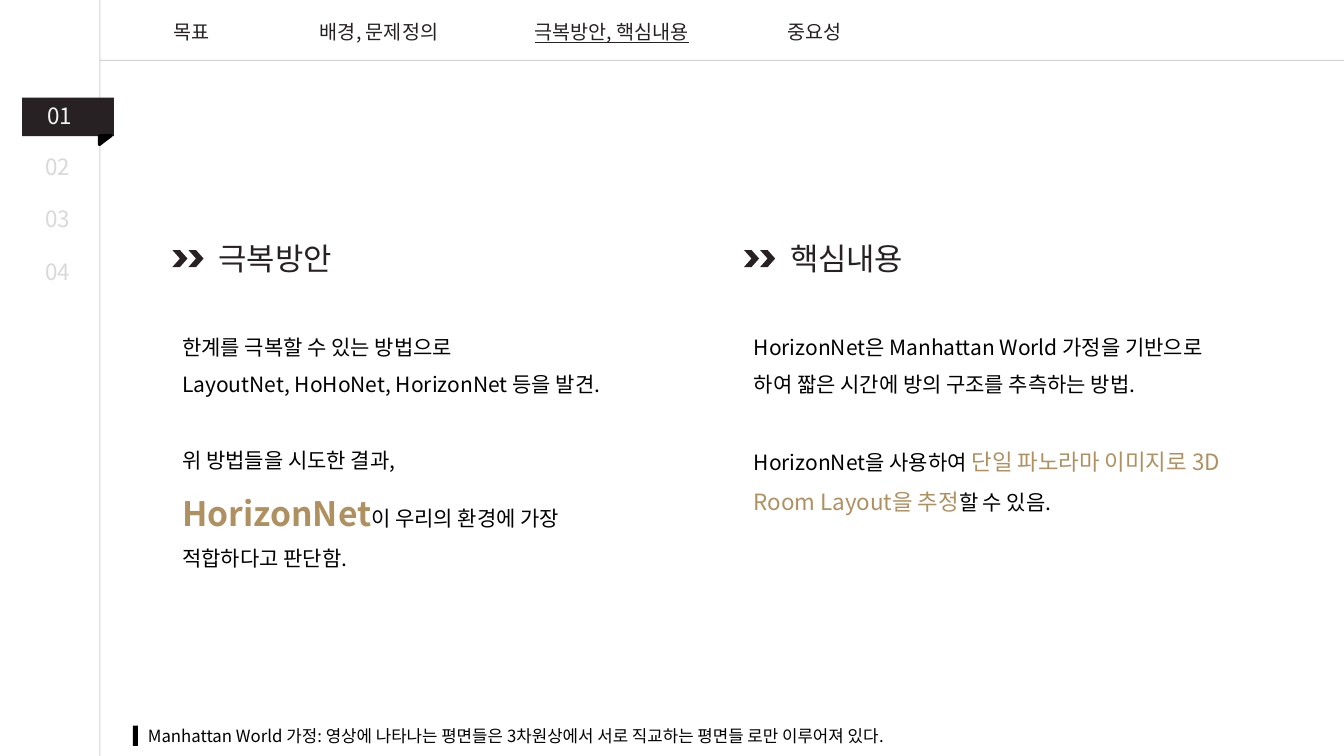
from dataclasses import dataclass

from lxml import etree
from pptx import Presentation
from pptx.dml.color import RGBColor
from pptx.enum import shapes, text
from pptx.oxml import ns
from pptx.util import Pt


@dataclass(frozen=True)
class Theme:
    font: str = "Noto Sans CJK KR"
    ink: str = "272123"
    black: str = "000000"
    gold: str = "AF9061"
    rule: str = "A6A6A6"
    pale: str = "F2F2F2"
    faded: str = "D9D9D9"
    heading: int = 22
    number: int = 16
    nav: int = 14
    body: int = 15
    accent: int = 16
    hero: int = 24
    footnote: int = 12


THEME = Theme()
LEFT_COLUMN, RIGHT_COLUMN = 123.1, 531.4
NAV = [
    ("목표", 98.6, 76.3, False),
    ("배경, 문제정의", 214.6, 112.3, False),
    ("극복방안, 핵심내용", 366.5, 141.1, True),
    ("중요성", 547.2, 69.1, False),
]


def add_run(paragraph, words, size=THEME.body, color=THEME.black, bold=False, underline=False):
    run = paragraph.add_run()
    run.text = words
    run.font.size = Pt(size)
    run.font.bold = bold
    run.font.underline = underline
    run.font.color.rgb = RGBColor.from_string(color)
    run.font.name = THEME.font
    east_asian = etree.SubElement(run.font._element, ns.qn("a:ea"))
    east_asian.set("typeface", THEME.font)


def add_text(slide, paragraphs, left, top, width, height, align=text.PP_ALIGN.LEFT,
             spacing=None, gap_before=None, **style):
    if isinstance(paragraphs, str):
        paragraphs = [[(paragraphs, {})]]
    frame = slide.shapes.add_textbox(Pt(left), Pt(top), Pt(width), Pt(height)).text_frame
    frame.word_wrap = True
    for index, runs in enumerate(paragraphs):
        paragraph = frame.paragraphs[0] if index == 0 else frame.add_paragraph()
        paragraph.alignment = align
        if spacing:
            paragraph.line_spacing = spacing
        if index and index == gap_before:
            paragraph.space_before = Pt(27)
        for words, overrides in runs:
            add_run(paragraph, words, **{**style, **overrides})


def add_block(slide, preset, left, top, width, height, color, outline=None, rotation=0):
    block = slide.shapes.add_shape(preset, Pt(left), Pt(top), Pt(width), Pt(height))
    block.shadow.inherit = False
    block.rotation = rotation
    block.fill.solid()
    block.fill.fore_color.rgb = RGBColor.from_string(color)
    if outline:
        block.line.color.rgb = RGBColor.from_string(color)
        block.line.width = Pt(outline)
    else:
        block.line.fill.background()


def add_rule(slide, x1, y1, x2, y2):
    rule = slide.shapes.add_connector(
        shapes.MSO_CONNECTOR.STRAIGHT, Pt(x1), Pt(y1), Pt(x2), Pt(y2))
    rule.line.width = Pt(0.75)
    rule.line.color.rgb = RGBColor.from_string(THEME.rule)
    properties = rule._element.spPr
    color = properties.find(".//" + ns.qn("a:srgbClr"))
    etree.SubElement(color, ns.qn("a:alpha")).set("val", "50000")
    etree.SubElement(properties, ns.qn("a:effectLst"))


def add_heading(slide, title, left):
    for offset in (11.5, 0):
        add_block(slide, shapes.MSO_SHAPE.CHEVRON, left + offset, 178.6, 10.8, 12.2, THEME.ink)
    add_text(slide, title, left + 25.9, 167.8, 115.9, 33.8, size=THEME.heading, color=THEME.ink)


def add_page_index(slide):
    add_block(slide, shapes.MSO_SHAPE.RECTANGLE, 15.8, 69.8, 65.5, 27.4, THEME.ink)
    add_block(slide, shapes.MSO_SHAPE.RIGHT_TRIANGLE, 72, 95.8, 6.5, 8.6,
              THEME.black, outline=2, rotation=90)
    add_text(slide, "01", 26.6, 69.1, 42.5, 26.6, size=THEME.number, color=THEME.pale)
    for step, number in enumerate(("02", "03", "04")):
        add_text(slide, number, 25.2, 105.8 + 37.5 * step, 35.3, 26.6,
                 size=THEME.number, color=THEME.faded)


def main():
    deck = Presentation()
    deck.slide_width, deck.slide_height = Pt(960), Pt(540)
    slide = deck.slides.add_slide(deck.slide_layouts[6])

    add_rule(slide, 71.3, 0, 71.3, 540)
    add_rule(slide, 960, 43.2, 71.3, 43.2)
    add_page_index(slide)
    add_heading(slide, "극복방안", LEFT_COLUMN)
    add_heading(slide, "핵심내용", RIGHT_COLUMN)

    add_text(slide, "Manhattan World 가정: 영상에 나타나는 평면들은 3차원상에서 서로 직교하는 "
             "평면들 로만 이루어져 있다.", 98.6, 514.8, 631.4, 21.6, size=THEME.footnote)
    add_block(slide, shapes.MSO_SHAPE.RECTANGLE, 95, 518.4, 3.6, 14.4, THEME.black)

    hero = {"size": THEME.hero, "color": THEME.gold, "bold": True}
    accent = {"size": THEME.accent, "color": THEME.gold}
    solution = [
        [("한계를 극복할 수 있는 방법으로", {})],
        [("LayoutNet, HoHoNet, HorizonNet 등을 발견.", {})],
        [("위 방법들을 시도한 결과,", {})],
        [("HorizonNet", hero), ("이 우리의 환경에 가장 적합하다고 판단함.", {})],
    ]
    key_points = [
        [("HorizonNet은 Manhattan World 가정을 기반으로 하여 짧은 시간에 "
          "방의 구조를 추측하는 방법.", {})],
        [("HorizonNet을 사용하여 ", {}),
         ("단일 파노라마 이미지로 3D Room Layout을 추정", accent),
         ("할 수 있음.", {})],
    ]
    add_text(slide, solution, LEFT_COLUMN, 226.1, 355.7, 185, spacing=1.5, gap_before=2)
    add_text(slide, key_points, RIGHT_COLUMN, 226.1, 365, 144.7, spacing=1.5, gap_before=1)

    for label, left, width, current in NAV:
        add_text(slide, label, left, 10.8, width, 24.5, align=text.PP_ALIGN.CENTER,
                 size=THEME.nav, color=THEME.ink, underline=current)

    deck.save("out.pptx")


if __name__ == "__main__":
    main()
